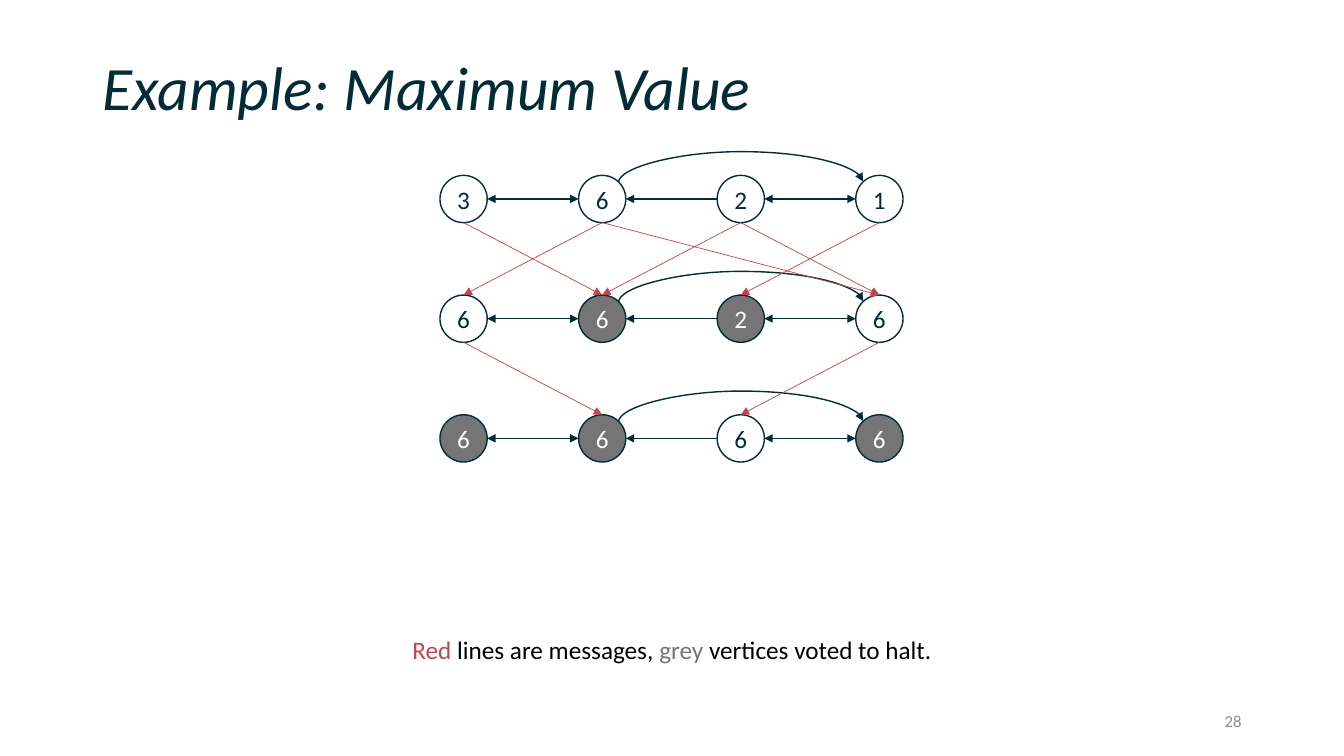
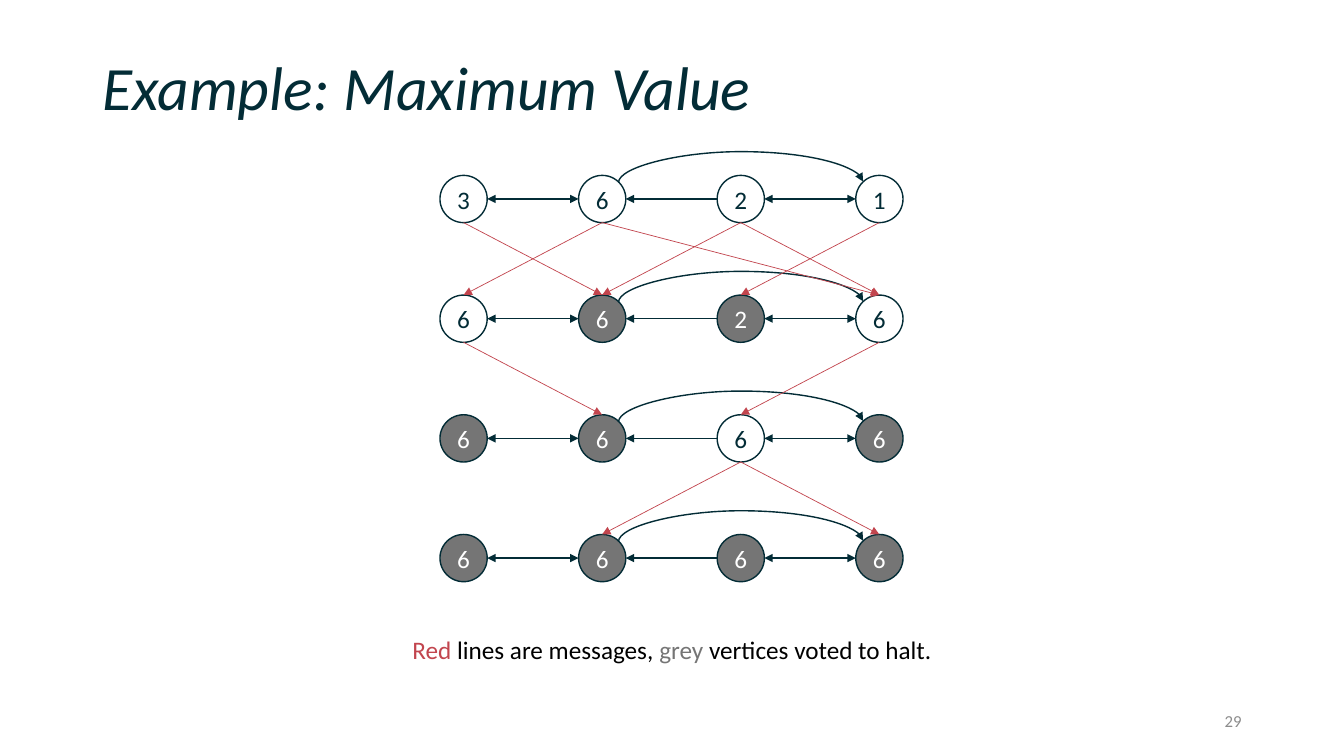
from dataclasses import dataclass
from lxml.etree import SubElement
from pptx import Presentation
from pptx.dml.color import RGBColor
from pptx.enum.shapes import MSO_CONNECTOR, MSO_SHAPE
from pptx.enum.text import MSO_ANCHOR, PP_ALIGN
from pptx.oxml.ns import qn
from pptx.util import Pt

PX = 9525  # EMU per pixel, 96 pixels to the inch


@dataclass
class Theme:
    font: str = "Calibri"
    ink: str = "032C36"
    red: str = "C2454E"
    grey: str = "757575"
    pale: str = "8C8C8C"
    white: str = "FFFFFF"
    black: str = "000000"
    title: int = 44
    body: int = 18
    small: int = 12


theme = Theme()

# Grid of vertices
LEFT, TOP, STEP, DROP, SIZE = 419, 167, 132, 114, 45

# Connection sites of an ellipse: index and share of width and height
SITES = {
    "top": (0, 0.5, 0), "top left": (1, 0.15, 0.15), "left": (2, 0, 0.5),
    "bottom": (4, 0.5, 1), "right": (6, 1, 0.5), "top right": (7, 0.85, 0.15),
}

# Each vertex is its value and whether it voted to halt
ROWS = [
    [(3, False), (6, False), (2, False), (1, False)],
    [(6, False), (6, True), (2, True), (6, False)],
    [(6, True), (6, True), (6, False), (6, True)],
    [(6, True), (6, True), (6, True), (6, True)],
]
# Messages from each row to the next, as pairs of columns
SENDS = [
    [(0, 1), (1, 0), (2, 1), (1, 3), (2, 3), (3, 2)],
    [(0, 1), (3, 2)],
    [(2, 1), (2, 3)],
]
# Edges in a row: start, site, end, site, two-way
EDGES = [
    (0, "right", 1, "left", True),
    (2, "left", 1, "right", False),
    (2, "right", 3, "left", True),
]
CAPTION = [
    ("Red", theme.red), (" lines are messages, ", theme.black),
    ("grey ", theme.grey), ("vertices voted to halt.", theme.black),
]


def write(shape, parts, size, align, anchor=MSO_ANCHOR.MIDDLE):
    """Fill a shape with one paragraph of coloured runs."""
    frame = shape.text_frame
    frame.vertical_anchor = anchor
    para = frame.paragraphs[0]
    para.alignment = align
    for text, color in parts:
        run = para.add_run()
        run.text = text
        run.font.name = theme.font
        run.font.size = Pt(size)
        run.font.color.rgb = RGBColor.from_string(color)
    return para


def link(slide, start, out, end, into, color, width, both=False,
         kind=MSO_CONNECTOR.STRAIGHT):
    """Join two vertices with an arrow."""
    ends = []
    for node, site in ((start, out), (end, into)):
        _, across, down = SITES[site]
        ends += [node.left + round(node.width * across),
                 node.top + round(node.height * down)]
    line = slide.shapes.add_connector(kind, *ends)
    line.line.color.rgb = RGBColor.from_string(color)
    line.line.width = Pt(width)
    stroke = line.line._get_or_add_ln()
    for tag in ("a:headEnd", "a:tailEnd") if both else ("a:tailEnd",):
        SubElement(stroke, qn(tag), type="triangle")
    SubElement(line._element.spPr, qn("a:effectLst"))
    joins = line._element.find(".//" + qn("p:cNvCxnSpPr"))
    for tag, node, site in (("a:stCxn", start, out), ("a:endCxn", end, into)):
        SubElement(joins, qn(tag), id=str(node.shape_id), idx=str(SITES[site][0]))
    return line


deck = Presentation()
deck.slide_width, deck.slide_height = 1280 * PX, 720 * PX

for number, count in ((28, 3), (29, 4)):
    slide = deck.slides.add_slide(deck.slide_layouts[6])

    # Title
    box = slide.shapes.add_textbox(88 * PX, 38 * PX, 1104 * PX, 97 * PX)
    box.text_frame.word_wrap = True
    para = write(box, [("Example: Maximum Value", theme.ink)], theme.title,
                 PP_ALIGN.LEFT)
    para.line_spacing = 0.9
    para.runs[0].font.italic = True

    # Vertices and edges, row by row
    grid = []
    for r, row in enumerate(ROWS[:count]):
        top = TOP + r * DROP
        nodes = []
        for c, (value, halted) in enumerate(row):
            node = slide.shapes.add_shape(
                MSO_SHAPE.OVAL, (LEFT + c * STEP) * PX, top * PX,
                SIZE * PX, SIZE * PX)
            node.shadow.inherit = False
            node.line.color.rgb = RGBColor.from_string(theme.ink)
            node.line.width = Pt(1)
            if halted:
                node.fill.solid()
                node.fill.fore_color.rgb = RGBColor.from_string(theme.grey)
            else:
                node.fill.background()
            color = theme.white if halted else theme.ink
            write(node, [(str(value), color)], theme.body, PP_ALIGN.CENTER)
            nodes.append(node)
        grid.append(nodes)

        for a, out, b, into, both in EDGES:
            link(slide, nodes[a], out, nodes[b], into, theme.ink, 1, both)

        # Arc over the third vertex: a flipped curve turned upright
        arc = link(slide, nodes[1], "top right", nodes[3], "top left",
                   theme.ink, 1, kind=MSO_CONNECTOR.CURVE)
        arc.left, arc.top = 705 * PX, (top - 110) * PX
        arc.width, arc.height = PX, 233 * PX
        form = arc._element.spPr.find(qn("a:xfrm"))
        for key, val in (("rot", "5400000"), ("flipH", "1"), ("flipV", "1")):
            form.set(key, val)
        shape = arc._element.spPr.find(qn("a:prstGeom"))
        guides = shape.find(qn("a:avLst"))
        if guides is None:
            guides = SubElement(shape, qn("a:avLst"))
        SubElement(guides, qn("a:gd"), name="adj1", fmla="val 3000000")

    # Messages
    for r, pairs in enumerate(SENDS[:count - 1]):
        for a, b in pairs:
            link(slide, grid[r][a], "bottom", grid[r + 1][b], "top",
                 theme.red, 0.5)

    # Caption
    box = slide.shapes.add_textbox(380 * PX, 599 * PX, 520 * PX, 38 * PX)
    box.text_frame.word_wrap = False
    write(box, CAPTION, theme.body, PP_ALIGN.CENTER, MSO_ANCHOR.TOP)

    # Slide number
    box = slide.shapes.add_textbox(904 * PX, 667 * PX, 288 * PX, 38 * PX)
    box.text_frame.word_wrap = True
    write(box, [(str(number), theme.pale)], theme.small, PP_ALIGN.RIGHT)

deck.save("out.pptx")
